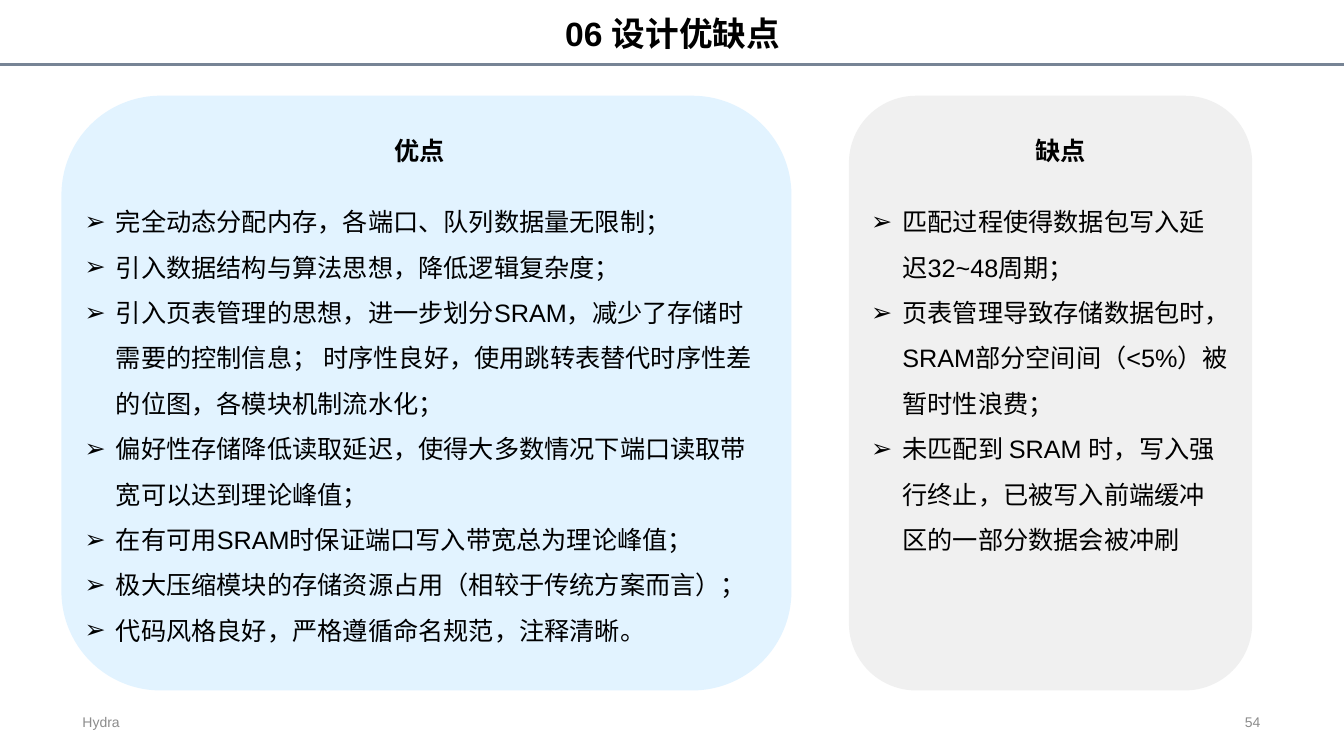
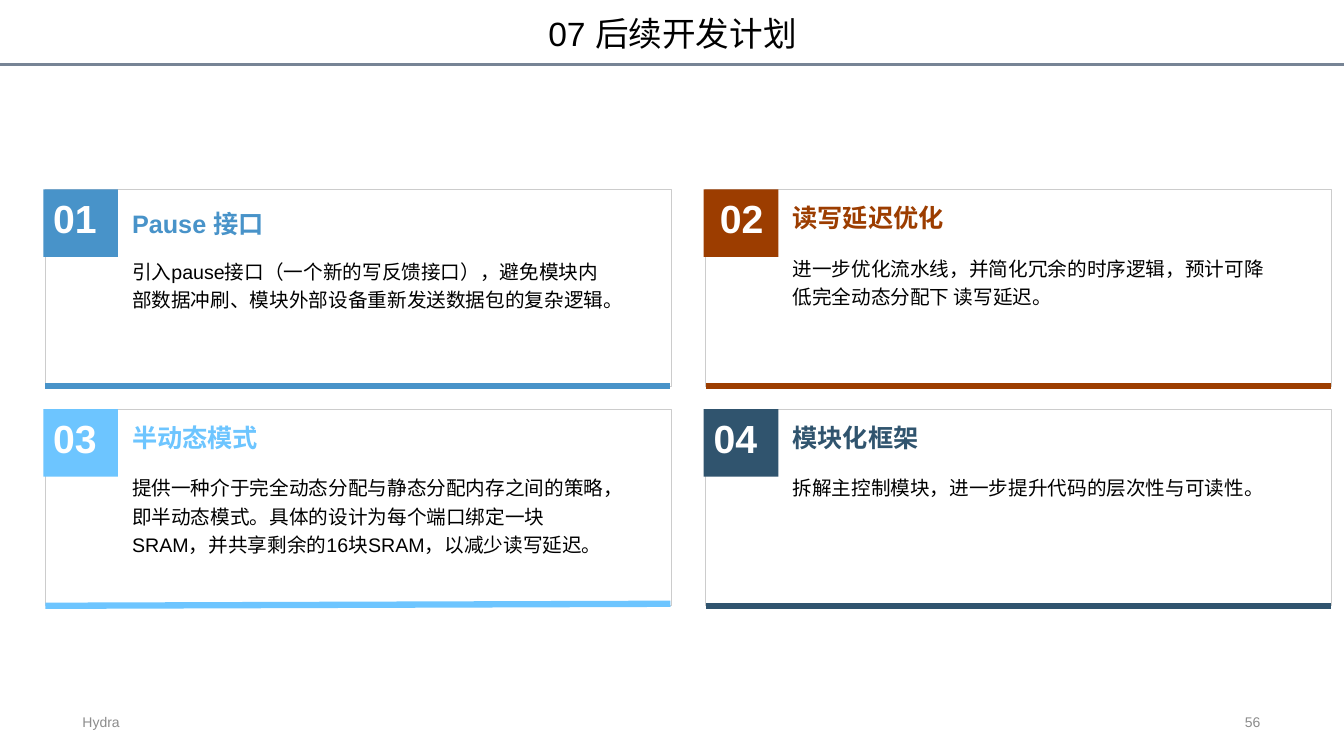
from dataclasses import dataclass
from lxml.etree import SubElement as Sub
from pptx import Presentation
from pptx.dml.color import RGBColor as Rgb
from pptx.enum.shapes import MSO_CONNECTOR as Link, MSO_SHAPE as Form
from pptx.enum.text import MSO_ANCHOR as Anchor, MSO_AUTO_SIZE as Fit, PP_ALIGN as Align
from pptx.oxml.ns import qn
from pptx.util import Inches, Pt


@dataclass(frozen=True)
class Theme:
    font: str = "Arial"
    asian: str = "Noto Sans CJK SC"
    ink: str = "000000"
    white: str = "FFFFFF"
    rule: str = "778495"
    mute: str = "8C8C8C"
    edge: str = "CCCCCC"
    pale: str = "E2F3FF"
    gray: str = "F0F0F0"
    blue: str = "4893C9"
    rust: str = "9C3D00"
    sky: str = "6DC5FF"
    navy: str = "30546E"
    title: int = 24
    badge: int = 28
    head: int = 18
    body: int = 14
    foot: int = 10


look = Theme()


def write(shape, text, size, color=look.ink, bold=False, align=Align.LEFT,
          anchor=Anchor.TOP, lead=1.0, pad=None):
    frame = shape.text_frame
    frame.text = text
    frame.word_wrap = True
    frame.auto_size = Fit.NONE
    frame.vertical_anchor = anchor
    if pad is not None:
        frame.margin_left = frame.margin_right = Inches(pad)
        frame.margin_top = frame.margin_bottom = Inches(pad)
    for para in frame.paragraphs:
        para.alignment = align
        para.line_spacing = lead
        para.space_before = Pt(0)
        for run in para.runs:
            font = run.font
            font.name, font.size, font.bold = look.font, Pt(size), bold
            font.color.rgb = Rgb.from_string(color)
            Sub(font._element, qn("a:ea"), typeface=look.asian)


def draw(slide, kind, area, fill=None, line=None, width=0.5):
    area = [Inches(n) for n in area]
    if kind is Link.STRAIGHT:
        shape = slide.shapes.add_connector(kind, *area)
        Sub(shape._element.spPr, qn("a:effectLst"))
    else:
        shape = slide.shapes.add_shape(kind, *area)
        shape.shadow.inherit = False
        shape.fill.solid()
        shape.fill.fore_color.rgb = Rgb.from_string(fill)
    if line:
        shape.line.color.rgb = Rgb.from_string(line)
        shape.line.width = Pt(width)
    else:
        shape.line.fill.background()
    return shape


deck = Presentation()
deck.slide_width, deck.slide_height = Inches(13.33), Inches(7.5)

# Shared title, rule and footer
pages = [
    (3, "06 设计优缺点", True, "54"),
    (5, "07 后续开发计划", False, "56"),
]
for layout, title, bold, number in pages:
    slide = deck.slides.add_slide(deck.slide_layouts[layout])
    name = slide.shapes.title
    name.left, name.top = Inches(4.79), Inches(0.08)
    name.width, name.height = Inches(3.76), Inches(0.64)
    write(name, title, look.title, bold=bold, align=Align.CENTER)
    draw(slide, Link.STRAIGHT, (0, 0.64, 13.33, 0.64), line=look.rule, width=2.75)
    for left, text, align in ((0.72, "Hydra", Align.LEFT), (8.6, number, Align.RIGHT)):
        foot = slide.shapes.add_textbox(Inches(left), Inches(7.01), Inches(4), Inches(0.3))
        write(foot, text, look.foot, look.mute, align=align, anchor=Anchor.MIDDLE)

# Strengths and weaknesses
slide = deck.slides[0]
sides = [
    ("优点", look.pale, 0.61, 7.24, 3.81, 0.74, 6.94, [
        "完全动态分配内存，各端口、队列数据量无限制；",
        "引入数据结构与算法思想，降低逻辑复杂度；",
        "引入页表管理的思想，进一步划分SRAM，减少了存储时需要的控制信息； 时序性良好，使用跳转表替代时序性差的位图，各模块机制流水化；",
        "偏好性存储降低读取延迟，使得大多数情况下端口读取带宽可以达到理论峰值；",
        "在有可用SRAM时保证端口写入带宽总为理论峰值；",
        "极大压缩模块的存储资源占用（相较于传统方案而言）；",
        "代码风格良好，严格遵循命名规范，注释清晰。",
    ]),
    ("缺点", look.gray, 8.42, 4, 10.17, 8.54, 3.76, [
        "匹配过程使得数据包写入延迟32~48周期；",
        "页表管理导致存储数据包时，SRAM部分空间间（<5%）被暂时性浪费；",
        "未匹配到 SRAM 时，写入强行终止，已被写入前端缓冲区的一部分数据会被冲刷",
    ]),
]
for spot, (head, fill, left, width, mid, start, span, items) in enumerate(sides, 1):
    panel = draw(slide, Form.ROUNDED_RECTANGLE, (left, 0.95, width, 5.9), fill)
    slide.shapes._spTree.insert(2, panel._element)  # behind the list
    label = slide.shapes.add_textbox(Inches(mid), Inches(1.29), Inches(1.66), Inches(0.4))
    write(label, head, look.head, bold=True)
    points = slide.placeholders[spot]
    points.left, points.top = Inches(start), Inches(1.85)
    points.width, points.height = Inches(span), Inches(4.59)
    write(points, "\n".join(items), look.head, lead=1.5)
    for para in points.text_frame.paragraphs:
        props = para._p.get_or_add_pPr()
        props.set("marL", str(Inches(0.31)))
        props.set("indent", str(-Inches(0.31)))
        Sub(props, qn("a:buFont"), typeface=look.font)
        Sub(props, qn("a:buChar"), char="➢")

# Plan cards: badge inset, heading height, heading spacing, body offset, line slope
slide = deck.slides[1]
cards = [
    ("Pause 接口", look.blue, 0.1, 0.67, 1.0, 0.53, 0,
     "引入pause接口（一个新的写反馈接口），避免模块内部数据冲刷、模块外部设备重新发送数据包的复杂逻辑。"),
    ("读写延迟优化", look.rust, 0.16, 0.5, 1.2, 0.5, 0,
     "进一步优化流水线，并简化冗余的时序逻辑，预计可降低完全动态分配下 读写延迟。"),
    ("半动态模式", look.sky, 0.1, 0.5, 1.2, 0.5, 0.02,
     "提供一种介于完全动态分配与静态分配内存之间的策略，即半动态模式。具体的设计为每个端口绑定一块SRAM，并共享剩余的16块SRAM，以减少读写延迟。"),
    ("模块化框架", look.navy, 0.1, 0.5, 1.2, 0.5, 0,
     "拆解主控制模块，进一步提升代码的层次性与可读性。"),
]
for spot, (head, color, inset, tall, lead, drop, slope, text) in enumerate(cards):
    row, col = divmod(spot, 2)
    left, top = 0.45 + col * 6.55, 1.88 + row * 2.18
    base = top + 1.95
    draw(slide, Form.RECTANGLE, (left, top, 6.21, 1.95), look.white, look.edge)
    label = slide.shapes.add_textbox(Inches(left + 0.74), Inches(top), Inches(5.04), Inches(tall))
    write(label, head, look.head, color, True, anchor=Anchor.MIDDLE, lead=lead, pad=0.12)
    note = slide.shapes.add_textbox(Inches(left + 0.74), Inches(top + drop), Inches(5.04), Inches(1.4))
    write(note, text, look.body, lead=1.2, pad=0.12)
    badge = draw(slide, Form.RECTANGLE, (left - 0.02, top, 0.74, 0.67), color)
    write(badge, f"{spot + 1:02}", look.badge, look.white, True)
    badge.text_frame.margin_left, badge.text_frame.margin_right = Inches(inset), 0
    draw(slide, Link.STRAIGHT, (left, base, left + 6.2, base - slope), line=color, width=4.5)

deck.save("out.pptx")
